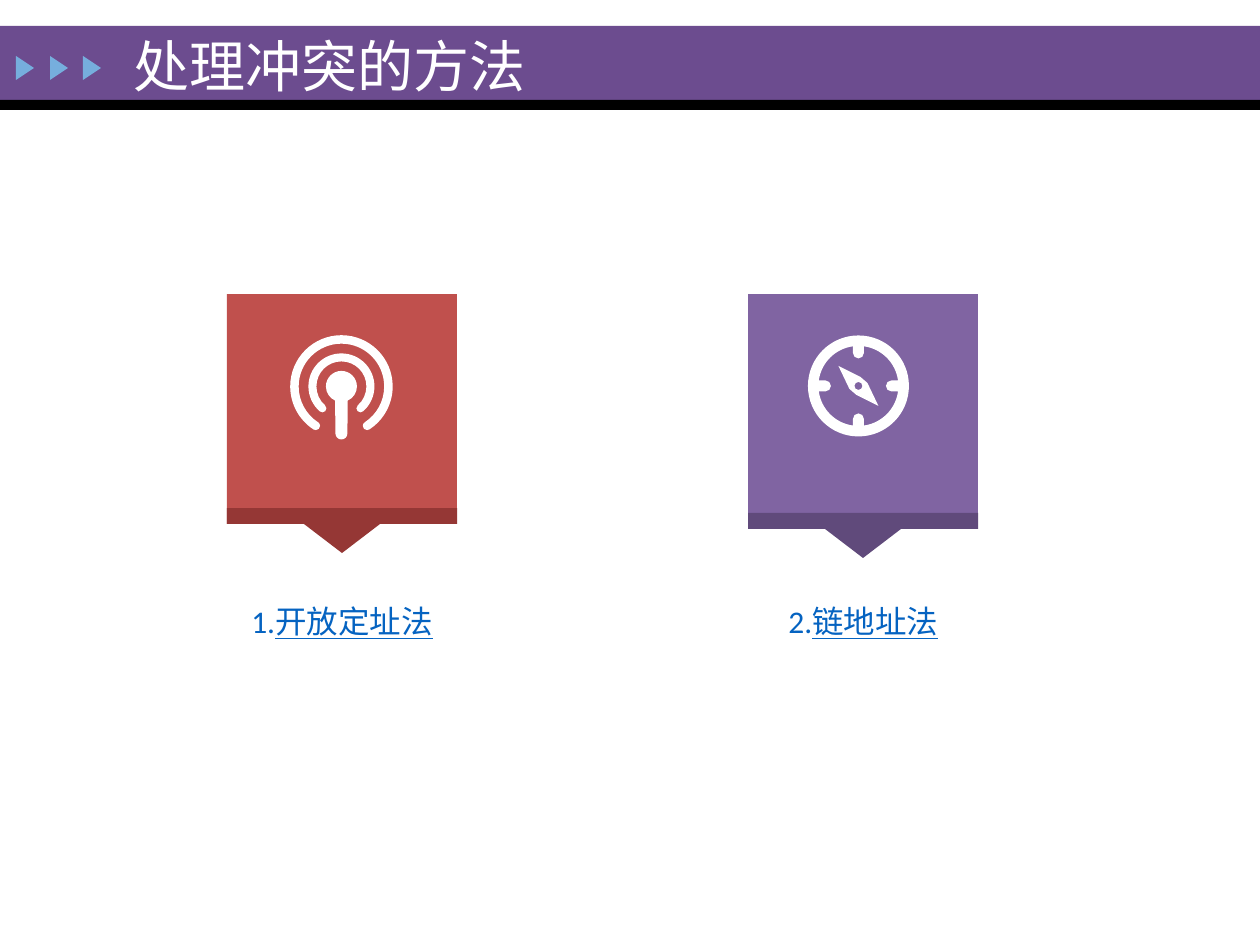
from dataclasses import dataclass
from math import asin, cos, degrees, dist, radians, sin, tan

from pptx import Presentation
from pptx.dml.color import RGBColor
from pptx.enum.shapes import MSO_SHAPE
from pptx.enum.text import MSO_ANCHOR, MSO_AUTO_SIZE, PP_ALIGN
from pptx.oxml.ns import qn
from pptx.oxml.xmlchemy import OxmlElement
from pptx.shapes.autoshape import Shape
from pptx.shapes.shapetree import GroupShapes, SlideShapes
from pptx.slide import Slide
from pptx.util import Emu, Pt

PX = 914400 / 126
FONT = "Calibri"
WHITE = "FFFFFF"
LINK_BLUE = "0563C1"

Point = tuple[float, float]
Contour = list[Point]
Canvas = SlideShapes | GroupShapes


@dataclass(frozen=True)
class Method:
    """A collision handling method shown as a pin with an icon and a caption."""

    number: str
    caption: str
    left: int
    fold_top: int
    face_color: str
    fold_color: str
    icon: list[Contour]
    caption_left: int
    caption_width: int


def px(length: float) -> Emu:
    """Turn pixels into EMU."""
    return Emu(round(length * PX))


def rgb(color: str) -> RGBColor:
    """Turn a hex string into a colour."""
    return RGBColor.from_string(color)


def paint(shape: Shape, color: str) -> None:
    """Give a shape a flat fill without line or shadow."""
    shape.fill.solid()
    shape.fill.fore_color.rgb = rgb(color)
    shape.line.fill.background()
    shape.shadow.inherit = False


def add_block(canvas: Canvas, kind: MSO_SHAPE, left: int, top: int,
              width: int, height: int, color: str) -> Shape:
    """Draw a flat preset shape."""
    block = canvas.add_shape(kind, px(left), px(top), px(width), px(height))
    paint(block, color)
    return block


def add_outline(canvas: Canvas, contours: list[Contour], color: str) -> Shape:
    """Draw closed contours as one shape, inner contours being holes."""
    scaled = [[(px(x), px(y)) for x, y in contour] for contour in contours]
    builder = canvas.build_freeform(*scaled[0][0], scale=1.0)
    builder.add_line_segments(scaled[0][1:], close=True)
    for contour in scaled[1:]:
        builder.move_to(*contour[0])
        builder.add_line_segments(contour[1:], close=True)
    outline = builder.convert_to_shape()
    paint(outline, color)
    return outline


def bend(outline: Shape) -> None:
    """Merge every three line segments into one Bezier segment."""
    for track in outline._element.iter(qn("a:path")):
        lines = track.findall(qn("a:lnTo"))
        for first in range(0, len(lines), 3):
            curve = OxmlElement("a:cubicBezTo")
            track.insert(track.index(lines[first]), curve)
            for line in lines[first:first + 3]:
                curve.append(line[0])
                track.remove(line)


def polar(center: Point, radius: float, angle: float) -> Point:
    """Find a point on a circle, with angles clockwise from the right."""
    turn = radians(angle)
    return center[0] + radius * cos(turn), center[1] + radius * sin(turn)


def arc(center: Point, radius: float, start: float, end: float) -> Contour:
    """Describe an arc by Bezier points, split at each quarter of the circle."""
    low, high = sorted((start, end))
    quarters = [angle for angle in range(-360, 1080, 90) if low < angle < high]
    angles = sorted([start, *quarters, end], reverse=start > end)
    points = [polar(center, radius, start)]
    for here, there in zip(angles, angles[1:]):
        reach = 4 / 3 * tan(radians(there - here) / 4) * radius
        points += [polar(polar(center, radius, here), reach, here + 90),
                   polar(polar(center, radius, there), -reach, there + 90),
                   polar(center, radius, there)]
    return points


def join(*pieces: Contour) -> Contour:
    """Chain Bezier pieces, with a straight segment wherever they do not meet."""
    chain = list(pieces[0])
    for piece in pieces[1:]:
        if dist(chain[-1], piece[0]) > 0.01:
            chain += [chain[-1], piece[0], piece[0]]
        chain += piece[1:]
    return chain


def wave(center: Point, radius: float, half_width: float, gap: float) -> Contour:
    """Outline a round-ended ring that is open at the bottom."""
    start, end = 90 + gap, 450 - gap
    return join(arc(center, radius + half_width, start, end),
                arc(polar(center, radius, end), half_width, end, end + 180),
                arc(center, radius - half_width, end, start),
                arc(polar(center, radius, start), half_width, start + 180, start + 360))


def antenna_icon(center: Point) -> list[Contour]:
    """Outline a mast between two radio waves."""
    x, y = center
    mast = join(arc(center, 15.5, 114, 426), arc((x, y + 47), 6, 0, 180))
    return [wave(center, 47, 4.25, 33), wave(center, 29, 4, 41), mast]


def compass_icon(center: Point) -> list[Contour]:
    """Outline a compass with four ticks and a needle."""
    x, y = center
    tick, face_radius = 5.5, 40
    offset = degrees(asin(tick / face_radius))
    face: list[Contour] = []
    for angle in (0, 90, 180, 270):
        face += [arc(polar(center, 33, angle), tick, angle + 270, angle + 90),
                 arc(center, face_radius, angle + offset, angle + 90 - offset)]
    half_needle = [(-20, -20), (-9, 3), (-2, 9)]
    needle = [[(x + side * dx, y + side * dy)]
              for side in (1, -1) for dx, dy in half_needle]
    return [arc(center, 50.5, 0, 360), join(*face), join(*needle),
            arc(center, 4, 0, 360)]


def add_method(slide: Slide, method: Method) -> None:
    """Draw a method's pin, icon and caption."""
    size, top, fold, tip = 230, 294, 16, 38
    left, right = method.left, method.left + size
    middle, fold_top = left + size // 2, method.fold_top
    fold_bottom = fold_top + fold
    pin = slide.shapes.add_group_shape().shapes
    add_block(pin, MSO_SHAPE.RECTANGLE, left, top, size, size, method.face_color)
    add_outline(pin, [[(left, fold_top), (right, fold_top), (right, fold_bottom),
                       (middle + tip, fold_bottom), (middle, fold_bottom + 29),
                       (middle - tip, fold_bottom), (left, fold_bottom)]],
                method.fold_color)
    bend(add_outline(pin, method.icon, WHITE))

    caption = slide.shapes.add_textbox(px(method.caption_left), px(596),
                                       px(method.caption_width), px(72))
    caption.text_frame.word_wrap = True
    paragraph = caption.text_frame.paragraphs[0]
    paragraph.alignment = PP_ALIGN.CENTER
    paragraph.font.name = FONT
    paragraph.font.size = Pt(18)
    paragraph.font.color.rgb = rgb(LINK_BLUE)
    paragraph.add_run().text = method.number
    name = paragraph.add_run()
    name.text = method.caption
    name.font.underline = True


def add_header(slide: Slide, heading: str) -> None:
    """Draw the header band and place the title on it."""
    add_block(slide.shapes, MSO_SHAPE.RECTANGLE, 0, 26, 1260, 74, "6C4C8F")
    add_block(slide.shapes, MSO_SHAPE.RECTANGLE, 0, 100, 1260, 10, "000000")
    markers = slide.shapes.add_group_shape().shapes
    for left in (13, 47, 80):
        marker = add_block(markers, MSO_SHAPE.ISOSCELES_TRIANGLE, left, 59, 24, 18, "76AEDD")
        marker.rotation = 90

    title = slide.shapes.title
    title.left, title.top, title.width, title.height = px(121), px(30), px(684), px(71)
    slide.shapes._spTree.append(title._element)
    frame = title.text_frame
    frame.text = heading
    frame.word_wrap = True
    frame.auto_size = MSO_AUTO_SIZE.NONE
    frame.vertical_anchor = MSO_ANCHOR.MIDDLE
    paragraph = frame.paragraphs[0]
    paragraph.alignment = PP_ALIGN.LEFT
    paragraph.font.name = FONT
    paragraph.font.size = Pt(32)
    paragraph.font.color.rgb = rgb(WHITE)


def main() -> None:
    """Build and save the slide."""
    presentation = Presentation()
    presentation.slide_width, presentation.slide_height = px(1260), px(945)
    slide = presentation.slides.add_slide(presentation.slide_layouts[5])
    add_header(slide, "处理冲突的方法")
    for method in (
        Method("1.", "开放定址法", 227, 508, "C0504D", "953735",
               antenna_icon((341.5, 386.5)), 163, 358),
        Method("2.", "链地址法", 748, 513, "8064A2", "604A7B",
               compass_icon((858.5, 386)), 725, 277),
    ):
        add_method(slide, method)
    presentation.save("out.pptx")


if __name__ == "__main__":
    main()
